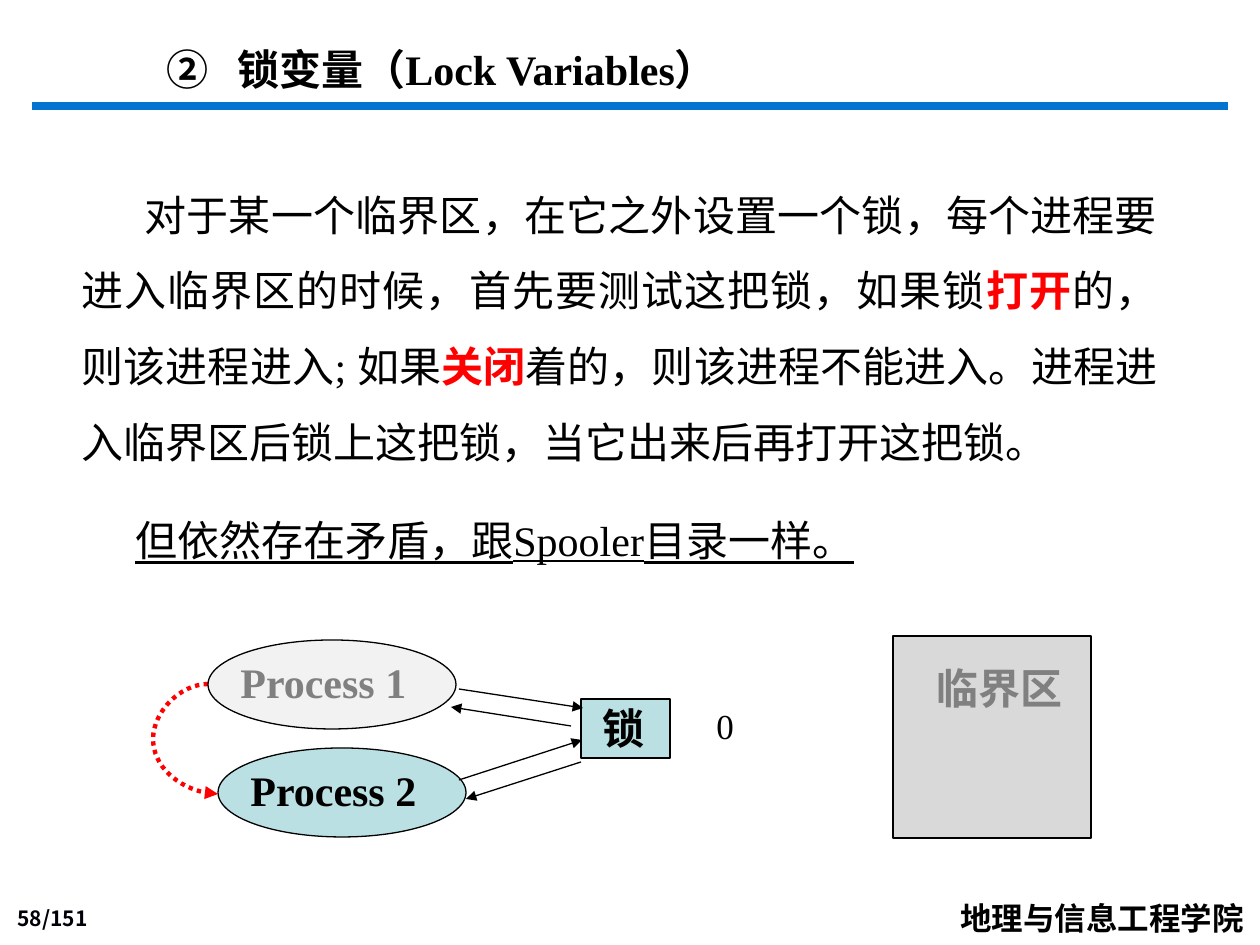
import pptx
import pptx.dml.color
import pptx.enum.dml
import pptx.enum.lang
import pptx.enum.shapes
import pptx.enum.text
import pptx.oxml.ns
import pptx.util
from lxml import etree

RGBColor = pptx.dml.color.RGBColor
BLACK = RGBColor(0x00, 0x00, 0x00)
PAGE_INK = RGBColor(0x00, 0x00, 0x08)
RED = RGBColor(0xFF, 0x00, 0x00)
BLUE = RGBColor(0x05, 0x74, 0xD0)
TEAL = RGBColor(0xBB, 0xE0, 0xE3)
GREY = RGBColor(0x80, 0x80, 0x80)
MID_GREY = RGBColor(0xD9, 0xD9, 0xD9)
PALE_GREY = RGBColor(0xF2, 0xF2, 0xF2)

LATIN = "Times New Roman"
CHINESE = "Noto Sans CJK SC"
NUMBERS = "Noto Sans CJK JP"

ALIGN = pptx.enum.text.PP_ALIGN
SHAPE = pptx.enum.shapes.MSO_SHAPE
CONNECTOR = pptx.enum.shapes.MSO_CONNECTOR
BOTTOM = pptx.enum.text.MSO_ANCHOR.BOTTOM
PX_PER_INCH = 126


def px(length):
    return pptx.util.Emu(round(length * 914400 / PX_PER_INCH))


def add_child(parent, tag, **attributes):
    child = etree.SubElement(parent, pptx.oxml.ns.qn(tag))
    for name, value in attributes.items():
        child.set(name, str(value))
    return child


def add_text(page, place, spans, align=ALIGN.LEFT, wrap=True, anchor=None,
             spacing=None, margin=0, indent=0, number_from=None, **common):
    """Add a one-paragraph box; spans are (text, format) pairs or a string."""
    box = page.shapes.add_textbox(*map(px, place))
    frame = box.text_frame
    frame.word_wrap = wrap
    if anchor is not None:
        frame.vertical_anchor = anchor
    para = frame.paragraphs[0]
    properties = para._p.get_or_add_pPr()
    properties.set("marL", str(px(margin)))
    properties.set("indent", str(px(indent)))
    if number_from:
        add_child(properties, "a:buFont", typeface=CHINESE)
        add_child(properties, "a:buAutoNum", type="circleNumDbPlain",
                  startAt=number_from)
    para.alignment = align
    if spacing:
        para.line_spacing = spacing
    if isinstance(spans, str):
        spans = [(spans, {})]
    for text, changes in spans:
        add_span(para, text, {**common, **changes})
    return box


def add_span(para, text, changes):
    span = para.add_run()
    span.text = text
    values = {"size": 24, "name": LATIN, "bold": False, "color": BLACK, **changes}
    values["size"] = pptx.util.Pt(values["size"])
    span.font.color.rgb = values.pop("color")
    for name, value in values.items():
        setattr(span.font, name, value)
    span.font.language_id = pptx.enum.lang.MSO_LANGUAGE_ID.SIMPLIFIED_CHINESE
    east_asian = NUMBERS if values["name"] == NUMBERS else CHINESE
    add_child(span._r.get_or_add_rPr(), "a:ea", typeface=east_asian)


def add_outlined(page, kind, place, fill):
    shape = page.shapes.add_shape(kind, *map(px, place))
    shape.shadow.inherit = False
    shape.fill.solid()
    shape.fill.fore_color.rgb = fill
    shape.line.color.rgb = BLACK
    shape.line.width = pptx.util.Pt(0.75)
    return shape


def add_line(page, ends, color=BLACK, width=0.75, arrow=True,
             kind=CONNECTOR.STRAIGHT, dash=None):
    line = page.shapes.add_connector(kind, *map(px, ends))
    line.line.color.rgb = color
    line.line.width = pptx.util.Pt(width)
    if dash is not None:
        line.line.dash_style = dash
    if arrow:
        add_child(line.line._get_or_add_ln(), "a:tailEnd", type="triangle")
    add_child(line._element.spPr, "a:effectLst")
    return line


def add_process(page, left, top, label, fill, color):
    add_outlined(page, SHAPE.OVAL, (left, top, 248, 89), fill)
    add_text(page, (left + 20, top + 10, 258, 63), label, bold=True, color=color)


def add_handover(page):
    """Dotted curve that bulges left from process 1 to process 2."""
    curve = add_line(page, (208, 684, 218, 794), RED, 2.5, kind=CONNECTOR.CURVE,
                     dash=pptx.enum.dml.MSO_LINE.ROUND_DOT)
    geometry = curve._element.spPr.find(pptx.oxml.ns.qn("a:prstGeom"))
    adjustments = geometry.find(pptx.oxml.ns.qn("a:avLst"))
    if adjustments is None:
        adjustments = add_child(geometry, "a:avLst")
    add_child(adjustments, "a:gd", name="adj1", fmla="val -547600")


def main():
    deck = pptx.Presentation()
    deck.slide_width, deck.slide_height = px(1260), px(945)
    page = deck.slides.add_slide(deck.slide_layouts[6])

    # Heading rule and footer
    add_line(page, (32, 106, 1228, 106), BLUE, 4.5, arrow=False)
    add_text(page, (0, 900, 100, 37), "58/151", ALIGN.RIGHT, anchor=BOTTOM,
             size=12, name=NUMBERS, bold=True, color=PAGE_INK)
    add_text(page, (948, 893, 311, 50), "地理与信息工程学院", wrap=False,
             size=18, name=CHINESE, bold=True)

    # Heading and explanation
    add_text(page, (154, 37, 1002, 63), "锁变量（Lock Variables）", ALIGN.JUSTIFY,
             margin=71, indent=-71, number_from=2, bold=True)
    key = {"color": RED, "bold": True}
    add_text(page, (69, 158, 1101, 318), [
        ("对于某一个临界区，在它之外设置一个锁，每个进程要进入临界区的时候，"
         "首先要测试这把锁，如果锁", {}),
        ("打开", key),
        ("的，则该进程进入; 如果", {}),
        ("关闭", key),
        ("着的，则该进程不能进入。进程进入临界区后锁上这把锁，"
         "当它出来后再打开这把锁。", {}),
    ], ALIGN.JUSTIFY, spacing=1.5, indent=63)
    add_text(page, (123, 508, 816, 63), "但依然存在矛盾，跟Spooler目录一样。",
             underline=True)

    # Lock and its value
    add_outlined(page, SHAPE.RECTANGLE, (581, 699, 89, 59), TEAL)
    add_text(page, (590, 696, 79, 63), "锁", bold=True)
    add_text(page, (704, 698, 43, 55), "0", wrap=False, size=20)

    # Critical region
    add_outlined(page, SHAPE.RECTANGLE, (893, 636, 198, 202), MID_GREY)
    add_text(page, (924, 656, 159, 63), "临界区", bold=True, color=GREY)

    # Processes, and their requests to the lock and its answers
    add_process(page, 218, 748, "Process 2", TEAL, BLACK)
    for ends in ((459, 689, 583, 708), (571, 726, 451, 707),
                 (459, 780, 582, 740), (581, 762, 466, 799)):
        add_line(page, ends)
    add_handover(page)
    add_process(page, 208, 640, "Process 1", PALE_GREY, GREY)

    deck.save("out.pptx")


if __name__ == "__main__":
    main()
